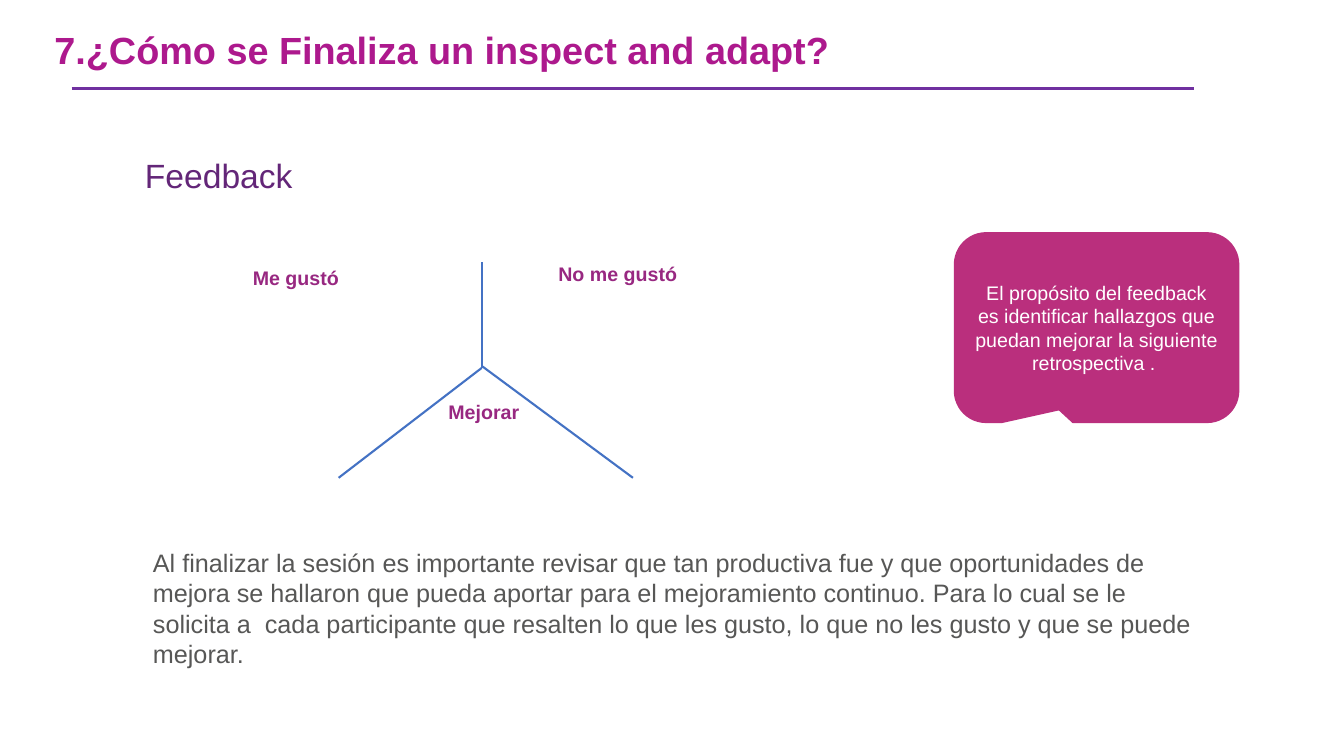
from pptx import Presentation
from pptx.dml.color import RGBColor
from pptx.enum.shapes import MSO_CONNECTOR, MSO_SHAPE
from pptx.enum.text import MSO_ANCHOR, PP_ALIGN
from pptx.oxml.ns import qn
from pptx.util import Pt
from lxml import etree

STRAIGHT = MSO_CONNECTOR.STRAIGHT
CALLOUT = MSO_SHAPE.ROUNDED_RECTANGULAR_CALLOUT
TOP, MIDDLE = MSO_ANCHOR.TOP, MSO_ANCHOR.MIDDLE
LEFT, CENTER = PP_ALIGN.LEFT, PP_ALIGN.CENTER
FONT = "Arial"
COLORS = {
    "title": "AD198D",
    "rule": "7030A0",
    "heading": "632678",
    "label": "982881",
    "branch": "4472C4",
    "callout": "BA2F7D",
    "body": "575756",
    "white": "FFFFFF",
}


def rgb(name):
    return RGBColor.from_string(COLORS[name])


def write(shape, text, size, color, bold=False, anchor=TOP, align=LEFT):
    tf = shape.text_frame
    tf.word_wrap = True
    tf.vertical_anchor = anchor
    p = tf.paragraphs[0]
    p.alignment = align
    r = p.add_run()
    r.text = text
    r.font.name = FONT
    r.font.size = Pt(size)
    r.font.bold = bold
    r.font.color.rgb = rgb(color)
    return p


def add_text(s, box, text, size, color, **style):
    tb = s.shapes.add_textbox(*map(Pt, box))
    write(tb, text, size, color, **style)


def add_line(s, start, end, color, width):
    line = s.shapes.add_connector(STRAIGHT, *map(Pt, (*start, *end)))
    line.line.color.rgb = rgb(color)
    line.line.width = Pt(width)
    etree.SubElement(line._element.spPr, qn("a:effectLst"))


def add_header(s, x, y, w, h):
    """Slide title with the rule beneath it."""
    title = s.shapes.title
    title.left, title.top, title.width, title.height = map(Pt, (x, y, w, h))
    p = write(title, "7.¿Cómo se Finaliza un inspect and adapt?", 27, "title",
              bold=True, anchor=MIDDLE)
    p.line_spacing = 0.9
    rule_y = y + h + 4.2
    add_line(s, (x + 19.4, rule_y), (x + 821.4, rule_y), "rule", 2.25)


def add_feedback_diagram(s, x, y, w, h):
    """Three branches meeting at a hub, with a label in each sector."""
    hub = (x + 170.6, y + 79.2)
    bottom = y + h
    add_line(s, (hub[0], y + 3.6), hub, "branch", 1.5)
    add_line(s, hub, (x + 68.4, bottom), "branch", 1.5)
    add_line(s, (x + 278.6, bottom), (hub[0], hub[1] - 1.4), "branch", 1.5)
    labels = [
        ("Me gustó", x, y + 2.9, 89.3),
        ("No me gustó", x + w - 131, y, 131),
        ("Mejorar", x + 139.7, y + 98.6, 131),
    ]
    for text, left, top, width in labels:
        add_text(s, (left, top, width, 24.5), text, 14, "label", bold=True)


def add_callout(s, x, y, w, h):
    sp = s.shapes.add_shape(CALLOUT, *map(Pt, (x, y, w, h)))
    for i, value in enumerate((-0.132, 0.433, 0.167)):
        sp.adjustments[i] = value
    sp.shadow.inherit = False
    sp.fill.solid()
    sp.fill.fore_color.rgb = rgb("callout")
    sp.line.color.rgb = rgb("callout")
    sp.line.width = Pt(1)
    write(sp, "El propósito del feedback es identificar hallazgos que puedan "
          "mejorar la siguiente retrospectiva . ", 14, "white",
          anchor=MIDDLE, align=CENTER)


def main():
    prs = Presentation()
    prs.slide_width, prs.slide_height = Pt(960), Pt(540)
    s = prs.slides.add_slide(prs.slide_layouts[5])
    add_header(s, 31.7, 15.1, 743.8, 43.9)
    add_text(s, (96.5, 108, 247, 33.8), "Feedback", 24, "heading",
             anchor=MIDDLE)
    add_feedback_diagram(s, 173.5, 183.6, 349.2, 157.7)
    add_callout(s, 681.8, 166.3, 203, 135.4)
    add_text(s, (102.2, 387.4, 756, 94.3),
             "Al finalizar la sesión es importante revisar que tan productiva "
             "fue y que oportunidades de mejora se hallaron que pueda aportar "
             "para el mejoramiento continuo. Para lo cual se le solicita a  "
             "cada participante que resalten lo que les gusto, lo que no les "
             "gusto y que se puede mejorar.", 18, "body")
    prs.save("out.pptx")


if __name__ == "__main__":
    main()
